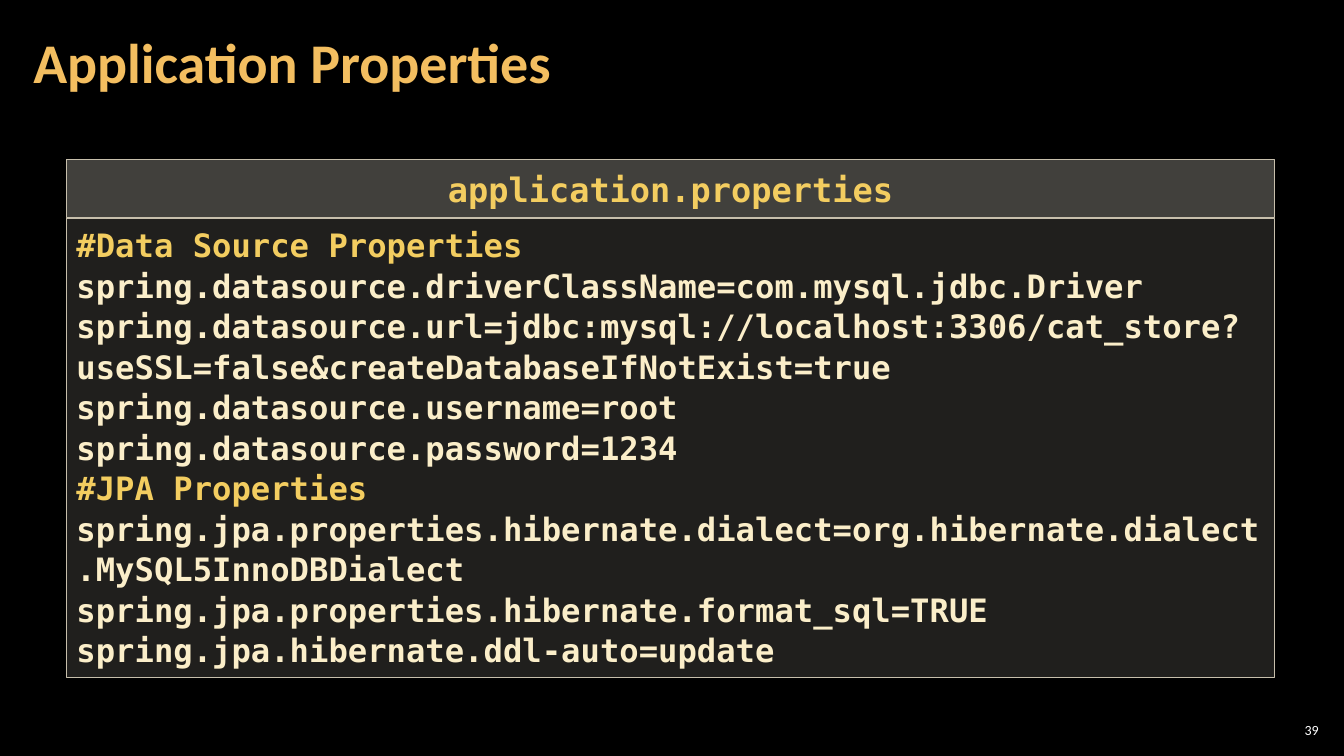
import pptx
import pptx.dml.color
import pptx.enum.shapes
import pptx.enum.text
import pptx.oxml
import pptx.oxml.ns
import pptx.util
from pptx.util import Inches

ALIGN = pptx.enum.text.PP_ALIGN
ANCHOR = pptx.enum.text.MSO_ANCHOR
CODE_FONT = "DejaVu Sans Mono"
GOLD = "F3CD60"
CREAM = "FBEEC9"
PANEL_LEFT, PANEL_WIDTH = 0.66, 11.98

PROPERTIES = [
    "#Data Source Properties",
    "spring.datasource.driverClassName=com.mysql.jdbc.Driver",
    "spring.datasource.url=jdbc:mysql://localhost:3306/cat_store?useSSL=false&createDatabaseIfNotExist=true",
    "spring.datasource.username=root",
    "spring.datasource.password=1234",
    "#JPA Properties",
    "spring.jpa.properties.hibernate.dialect=org.hibernate.dialect.MySQL5InnoDBDialect",
    "spring.jpa.properties.hibernate.format_sql=TRUE",
    "spring.jpa.hibernate.ddl-auto=update",
]


def set_color(color_format, hex_color):
    color_format.rgb = pptx.dml.color.RGBColor.from_string(hex_color)


def set_fill(fill, hex_color, opacity=100):
    """Fill with a solid colour; opacity is in percent."""
    fill.solid()
    set_color(fill.fore_color, hex_color)
    if opacity < 100:
        color = fill._xPr.find(".//" + pptx.oxml.ns.qn("a:srgbClr"))
        alpha = pptx.oxml.parse_xml(
            f'<a:alpha {pptx.oxml.ns.nsdecls("a")} val="{opacity * 1000}"/>')
        color.append(alpha)


def set_frame(frame, anchor, inset_x, inset_y):
    frame.word_wrap = True
    frame.auto_size = pptx.enum.text.MSO_AUTO_SIZE.NONE
    frame.vertical_anchor = anchor
    frame.margin_left = frame.margin_right = Inches(inset_x)
    frame.margin_top = frame.margin_bottom = Inches(inset_y)


def format_line(paragraph, font, size, color, bold=True, align=ALIGN.LEFT, spacing=1.0):
    paragraph.alignment = align
    paragraph.line_spacing = spacing
    for run in paragraph.runs:
        run.font.name = font
        run.font.size = pptx.util.Pt(size)
        run.font.bold = bold
        set_color(run.font.color, color)


def add_title(slide, text):
    title = slide.shapes.title
    title.left, title.top = Inches(0.21), Inches(0.04)
    title.width, title.height = Inches(10.47), Inches(1.21)
    title.text_frame.text = text
    set_frame(title.text_frame, ANCHOR.MIDDLE, 0.12, 0.04)
    format_line(title.text_frame.paragraphs[0], "Calibri", 40, "F3BE60", spacing=0.9)


def add_code_panel(slide, top, height, lines, size, opacity, inset_y, align=ALIGN.LEFT):
    panel = slide.shapes.add_shape(
        pptx.enum.shapes.MSO_SHAPE.RECTANGLE,
        Inches(PANEL_LEFT), Inches(top), Inches(PANEL_WIDTH), Inches(height))
    panel.shadow.inherit = False
    set_fill(panel.fill, "D9D5C7", opacity)
    set_color(panel.line.color, "C7BFAC")
    panel.line.width = pptx.util.Pt(1)
    panel.text_frame.text = "\n".join(lines)
    set_frame(panel.text_frame, ANCHOR.TOP, 0.1, inset_y)
    for paragraph in panel.text_frame.paragraphs:
        is_plain = paragraph.text.startswith("spring.")
        format_line(paragraph, CODE_FONT, size, CREAM if is_plain else GOLD,
                    align=align, spacing=1.05)


def add_slide_number(slide, number):
    box = slide.shapes.add_textbox(Inches(12.65), Inches(7.14), Inches(0.47), Inches(0.21))
    box.text_frame.text = number
    set_frame(box.text_frame, ANCHOR.MIDDLE, 0.04, 0.04)
    format_line(box.text_frame.paragraphs[0], "Calibri", 10, "FFFFFF",
                bold=False, align=ALIGN.RIGHT)


def main():
    deck = pptx.Presentation()
    deck.slide_width, deck.slide_height = Inches(13.33), Inches(7.5)
    slide = deck.slides.add_slide(deck.slide_layouts[5])
    set_fill(slide.background.fill, "000000")
    add_slide_number(slide, "39")
    add_title(slide, "Application Properties")
    add_code_panel(slide, 2.17, 4.55, PROPERTIES, 23, 15, 0.05)
    add_code_panel(slide, 1.58, 0.58, ["application.properties"], 24, 30, 0.08, ALIGN.CENTER)
    deck.save("out.pptx")


if __name__ == "__main__":
    main()
